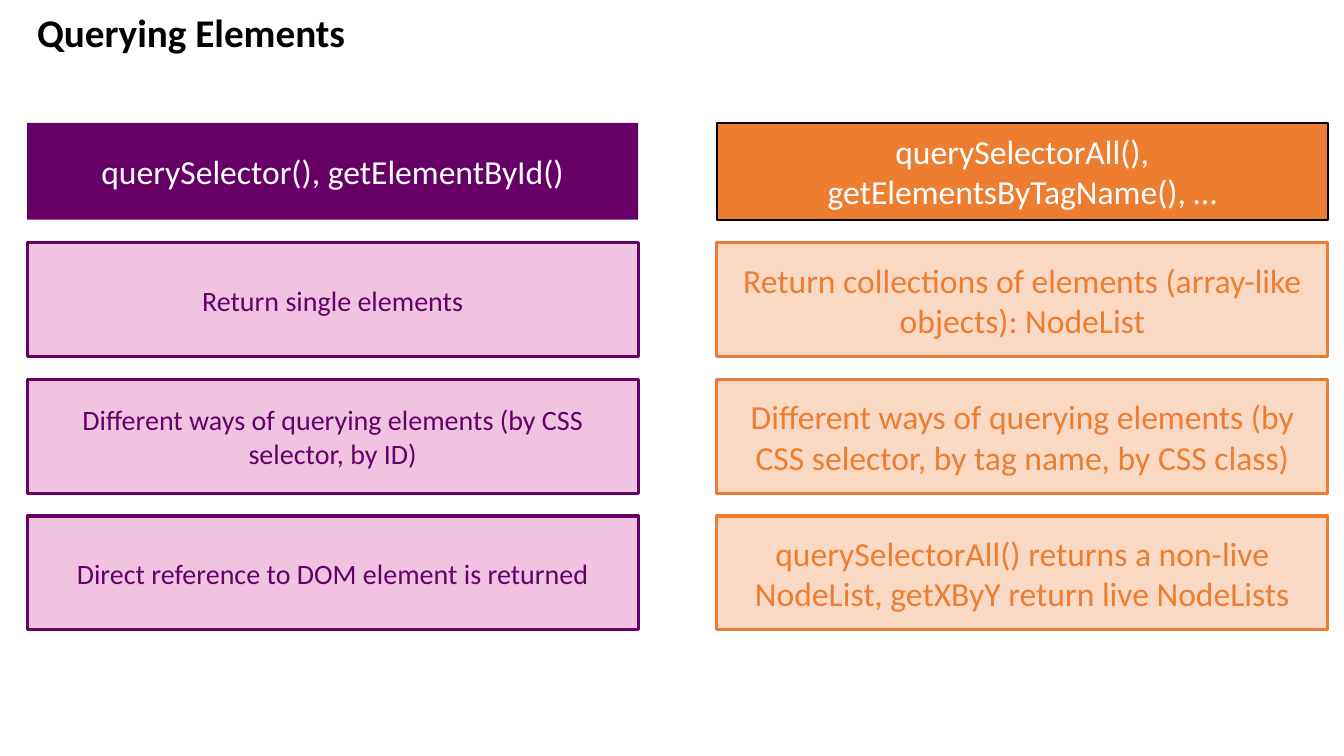
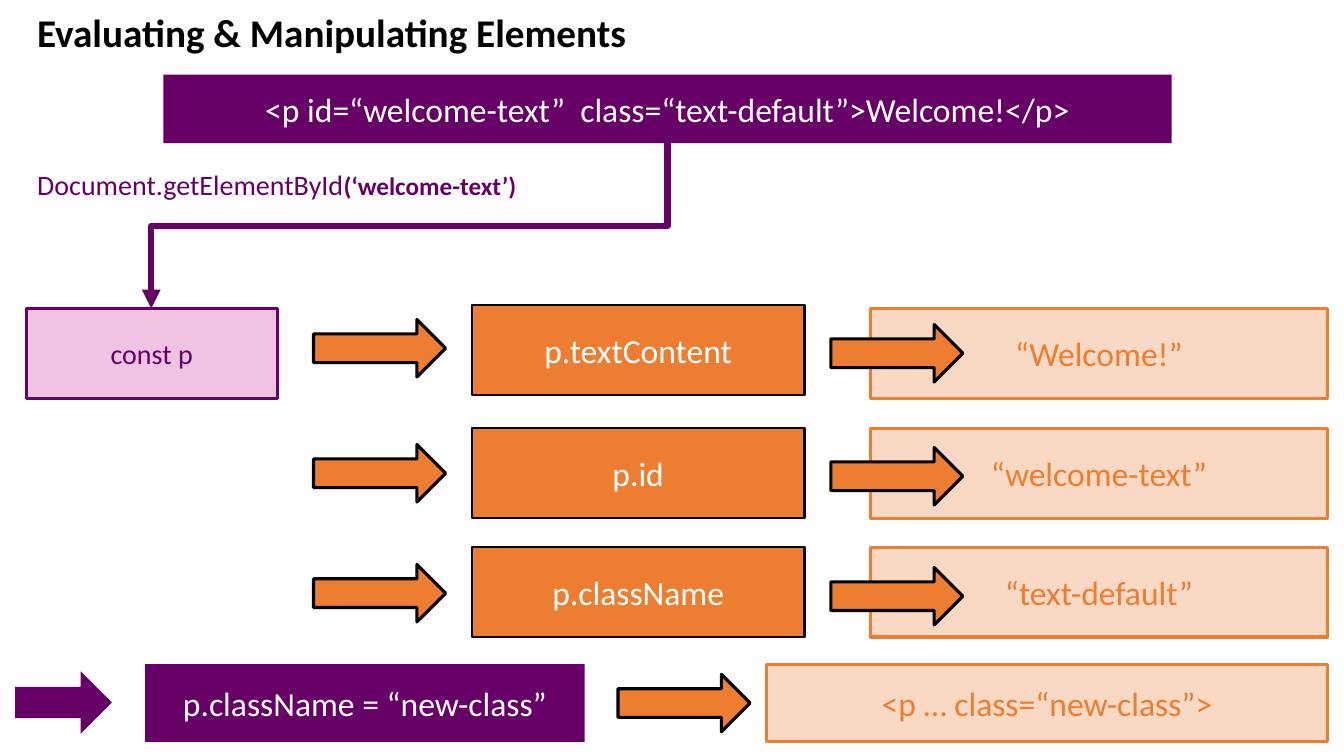
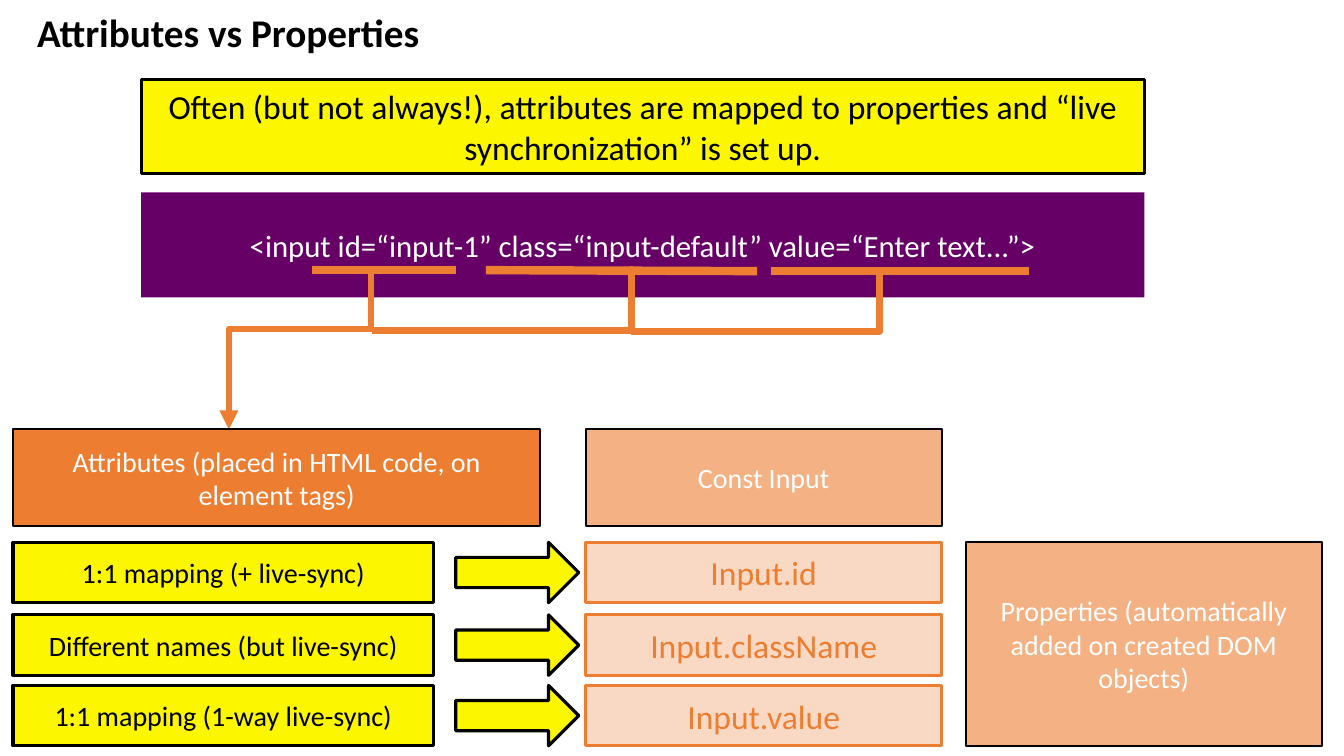
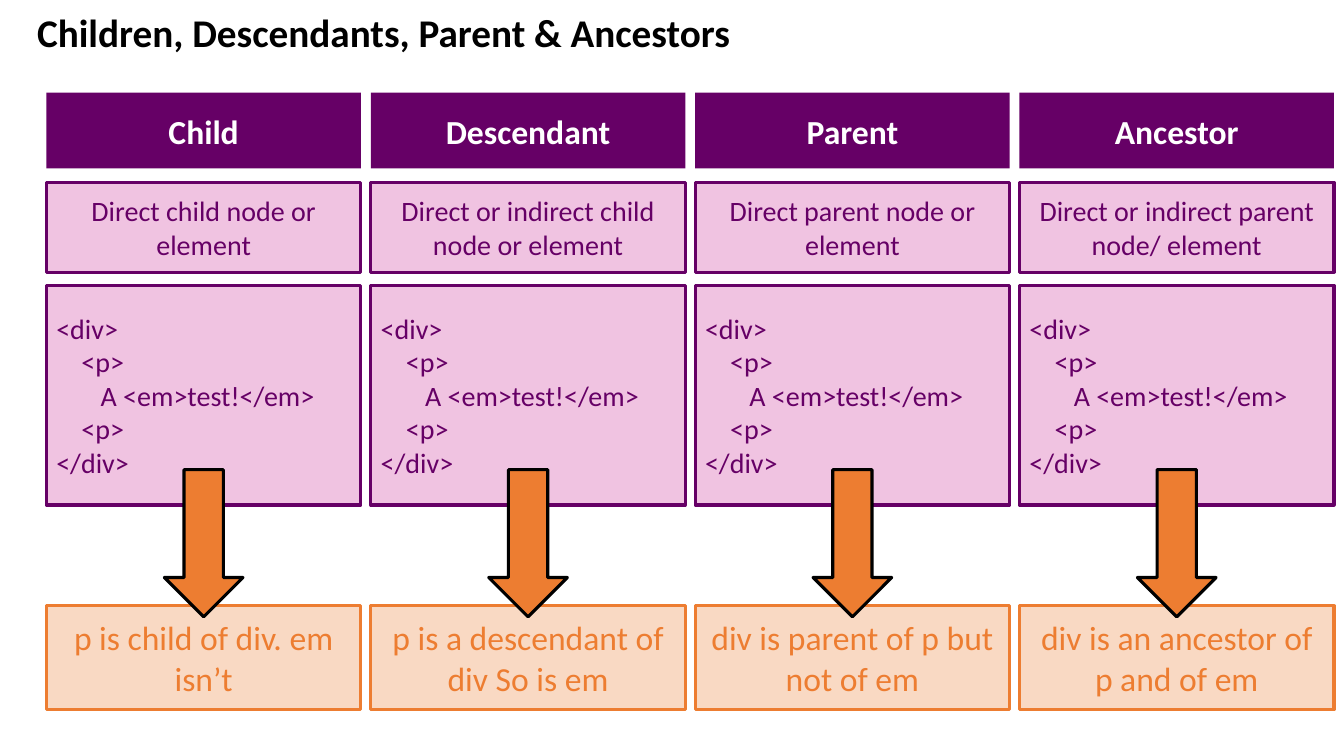
from itertools import zip_longest

from lxml import etree
from pptx import Presentation
from pptx.dml.color import RGBColor
from pptx.enum.shapes import MSO_CONNECTOR, MSO_SHAPE
from pptx.enum.text import MSO_ANCHOR, MSO_AUTO_SIZE, PP_ALIGN
from pptx.oxml.ns import qn
from pptx.util import Inches, Pt

RECTANGLE, ARROW = MSO_SHAPE.RECTANGLE, MSO_SHAPE.RIGHT_ARROW
STRAIGHT, ELBOW = MSO_CONNECTOR.STRAIGHT, MSO_CONNECTOR.ELBOW
LEFT, CENTER = PP_ALIGN.LEFT, PP_ALIGN.CENTER
MIDDLE, TOP = MSO_ANCHOR.MIDDLE, MSO_ANCHOR.TOP
GROW = MSO_AUTO_SIZE.SHAPE_TO_FIT_TEXT

FONT = "Calibri"
PURPLE, PINK, ORANGE, PEACH = "660066", "CC3399", "ED7D31", "F4B183"
YELLOW, BLACK, WHITE = "FCF600", "000000", "FFFFFF"
TINT = 29

STYLES = {
    "purple": dict(fill=PURPLE, color=WHITE, size=24),
    "pink": dict(fill=PINK, alpha=TINT, line=PURPLE, weight=2.25, color=PURPLE, size=20),
    "orange": dict(fill=ORANGE, line=BLACK, weight=1.5, color=WHITE, size=24),
    "pale": dict(fill=ORANGE, alpha=TINT, line=ORANGE, weight=2.25, color=ORANGE, size=24),
    "peach": dict(fill=PEACH, line=BLACK, weight=1.5, color=WHITE, size=20),
    "yellow": dict(fill=YELLOW, line=BLACK, weight=2.25, color=BLACK, size=20),
    "orange arrow": dict(fill=ORANGE, line=BLACK, weight=2.25),
}

QUERY_COLUMNS = [
    ("purple", "querySelector(), getElementById()", "pink", [
        "Return single elements",
        "Different ways of querying elements (by CSS selector, by ID)",
        "Direct reference to DOM element is returned",
    ]),
    ("orange", "querySelectorAll(),\ngetElementsByTagName(), …", "pale", [
        "Return collections of elements (array-like objects): NodeList",
        "Different ways of querying elements (by CSS selector, by tag name, by CSS class)",
        "querySelectorAll() returns a non-live NodeList, getXByY return live NodeLists",
    ]),
]

# property, value, then tops of property box, value box, left arrow, right arrow
READINGS = [
    ("p.textContent", "“Welcome!”", 3.03, 3.06, 3.17, 3.22),
    ("p.id", "“welcome-text”", 4.25, 4.25, 4.41, 4.44),
    ("p.className", "“text-default”", 5.43, 5.43, 5.6, 5.63),
]

MAPPINGS = [
    ("1:1 mapping (+ live-sync)", "Input.id", 5.38),
    ("Different names (but live-sync)", "Input.className", 6.1),
    ("1:1 mapping (1-way live-sync)", "Input.value", 6.8),
]
UNDERLINES = [
    ((3.09, 2.68), (4.52, 2.68)),
    ((4.82, 2.68), (7.51, 2.69)),
    ((7.65, 2.69), (10.21, 2.69)),
]
BRANCHES = [
    ((6.28, 2.67), (3.69, 3.28), 0.007),
    ((9.21, 2.7), (6.26, 3.29), 0.165),
]

RELATIONS = [
    ("Child", "Direct child node or element", "p is child of div. em isn’t"),
    ("Descendant", "Direct or indirect child node or element",
     "p is a descendant of div So is em"),
    ("Parent", "Direct parent node or element", "div is parent of p but not of em"),
    ("Ancestor", "Direct or indirect parent node/ element",
     "div is an ancestor of p and of em"),
]
MARKUP = "<div>\n<p>\nA <em>test!</em>\n<p>\n</div>"
MARKUP_INDENTS = (0, 0.25, 0.44, 0.25, 0)


def paint(value):
    return RGBColor.from_string(value)


def add_span(para, text, color, size, bold=False):
    span = para.add_run()
    span.text = text
    span.font.color.rgb = paint(color)
    for name, value in dict(name=FONT, size=Pt(size), bold=bold).items():
        setattr(span.font, name, value)


def write(box, text, color, size, bold=False, align=CENTER, anchor=MIDDLE, indents=()):
    frame = box.text_frame
    for name, value in dict(word_wrap=True, vertical_anchor=anchor).items():
        setattr(frame, name, value)
    for number, (line, indent) in enumerate(zip_longest(text.split("\n"), indents)):
        para = frame.add_paragraph() if number else frame.paragraphs[0]
        para.alignment = align
        if indent:
            para._p.get_or_add_pPr().set("marL", str(Inches(indent)))
        add_span(para, line, color, size, bold)


def add_box(page, at, style, text="", kind=RECTANGLE, **changes):
    look = {**STYLES[style], **changes}
    box = page.shapes.add_shape(kind, *map(Inches, at))
    box.shadow.inherit = False
    box.fill.solid()
    box.fill.fore_color.rgb = paint(look.pop("fill"))
    alpha = look.pop("alpha", None)
    if alpha:
        tone = next(box.element.spPr.iter(qn("a:srgbClr")))
        etree.SubElement(tone, qn("a:alpha")).set("val", str(alpha * 1000))
    line, weight = look.pop("line", None), look.pop("weight", 0)
    if line:
        box.line.color.rgb = paint(line)
        box.line.width = Pt(weight)
    else:
        box.line.fill.background()
    if text:
        write(box, text, **look)
    return box


def add_label(page, at, text, **look):
    label = page.shapes.add_textbox(*map(Inches, at))
    write(label, text, align=LEFT, anchor=TOP, **look)
    label.text_frame.auto_size = GROW
    return label


def add_line(page, start, end, color, weight, kind=STRAIGHT, bend=None, arrow=False):
    line = page.shapes.add_connector(kind, *map(Inches, start + end))
    line.line.color.rgb = paint(color)
    line.line.width = Pt(weight)
    properties = line.element.spPr
    if bend is not None:
        guide = etree.SubElement(next(properties.iter(qn("a:avLst"))), qn("a:gd"))
        guide.set("name", "adj1")
        guide.set("fmla", f"val {round(bend * 100000)}")
    if arrow:
        etree.SubElement(properties.find(qn("a:ln")), qn("a:tailEnd")).set("type", "triangle")
    etree.SubElement(properties, qn("a:effectLst"))
    return line


def add_drop(page, start, end, color, bend):
    middle_x, middle_y = (start[0] + end[0]) / 2, (start[1] + end[1]) / 2
    half_width, half_height = (start[0] - end[0]) / 2, (end[1] - start[1]) / 2
    line = add_line(page, (middle_x - half_height, middle_y - half_width),
                    (middle_x + half_height, middle_y + half_width),
                    color, 4.5, ELBOW, bend, arrow=True)
    line.element.spPr.find(qn("a:xfrm")).set("rot", str(90 * 60000))


def add_page(deck, title, width=6.57):
    page = deck.slides.add_slide(deck.slide_layouts[6])
    add_label(page, (0.27, 0.03, width, 0.57), title, color=BLACK, size=28, bold=True)
    return page


def build_querying(deck):
    page = add_page(deck, "Querying Elements")
    for column, (head_style, head, body_style, facts) in enumerate(QUERY_COLUMNS):
        left = 0.27 + 6.84 * column
        add_box(page, (left, 1.22, 6.06, 0.96), head_style, head)
        for row, fact in enumerate(facts):
            add_box(page, (left, 2.41 + 1.355 * row, 6.06, 1.13), body_style, fact)


def build_evaluating(deck):
    page = add_page(deck, "Evaluating & Manipulating Elements")
    add_box(page, (1.62, 0.74, 10, 0.68), "purple",
            "<p id=“welcome-text”  class=“text-default”>Welcome!</p>")
    add_box(page, (0.26, 3.06, 2.49, 0.89), "pink", "const p")
    add_drop(page, (6.62, 1.42), (1.5, 3.06), PURPLE, 0.5)
    call = add_label(page, (0.27, 1.61, 5.14, 0.44), "Document.getElementById",
                     color=PURPLE, size=20)
    add_span(call.text_frame.paragraphs[0], "(‘welcome-text’)", PURPLE, 18, True)
    for name, value, name_top, value_top, first_top, second_top in READINGS:
        add_box(page, (4.68, name_top, 3.3, 0.89), "orange", name)
        add_box(page, (8.63, value_top, 4.54, 0.89), "pale", value)
        for left, top in ((3.11, first_top), (8.24, second_top)):
            add_box(page, (left, top, 1.31, 0.57), "orange arrow", kind=ARROW)
    add_box(page, (1.44, 6.59, 4.36, 0.77), "purple", "p.className = “new-class”")
    add_box(page, (0.15, 6.66, 0.96, 0.62), "purple", kind=ARROW)
    add_box(page, (6.13, 6.69, 1.31, 0.57), "orange arrow", kind=ARROW)
    add_box(page, (7.6, 6.59, 5.57, 0.77), "pale", "<p … class=“new-class”>")


def build_attributes(deck):
    page = add_page(deck, "Attributes vs Properties")
    add_box(page, (1.4, 0.79, 9.95, 0.93), "yellow",
            "Often (but not always!), attributes are mapped to properties and "
            "“live synchronization” is set up.", size=24)
    add_box(page, (1.4, 1.91, 9.95, 1.04), "purple",
            "<input id=“input-1” class=“input-default” value=“Enter text...”>", size=22)
    for start, end in UNDERLINES:
        add_line(page, start, end, ORANGE, 6)
    add_drop(page, (3.68, 2.69), (2.27, 4.26), ORANGE, 0.366)
    for start, end, bend in BRANCHES:
        add_line(page, start, end, ORANGE, 4.5, ELBOW, bend)
    add_box(page, (0.13, 4.26, 5.23, 0.96), "orange",
            "Attributes (placed in HTML code, on element tags)", size=20)
    add_box(page, (5.81, 4.26, 3.53, 0.96), "peach", "Const Input")
    for mapping, name, top in MAPPINGS:
        add_box(page, (0.13, top, 4.17, 0.6), "yellow", mapping)
        add_box(page, (5.81, top, 3.53, 0.6), "pale", name)
        add_box(page, (4.52, top, 1.22, 0.6), "yellow", kind=ARROW)
    add_box(page, (9.58, 5.38, 3.53, 2.02), "peach",
            "Properties (automatically added on created DOM objects)")


def build_relations(deck):
    page = add_page(deck, "Children, Descendants, Parent & Ancestors", 8.91)
    width = 3.12
    for column, (name, meaning, example) in enumerate(RELATIONS):
        left = 0.46 + 3.217 * column
        add_box(page, (left, 0.92, width, 0.75), "purple", name, bold=True)
        add_box(page, (left, 1.81, width, 0.89), "pink", meaning)
        add_box(page, (left, 2.83, width, 2.18), "pink", MARKUP,
                align=LEFT, indents=MARKUP_INDENTS)
        add_box(page, (left, 6.01, width, 1.03), "pale", example)
        arrow = add_box(page, (left + 0.83, 5, 1.46, 0.78), "orange arrow", kind=ARROW)
        arrow.rotation = 90


deck = Presentation()
deck.slide_width, deck.slide_height = Inches(13.33), Inches(7.5)
for build in (build_querying, build_evaluating, build_attributes, build_relations):
    build(deck)
deck.save("out.pptx")
